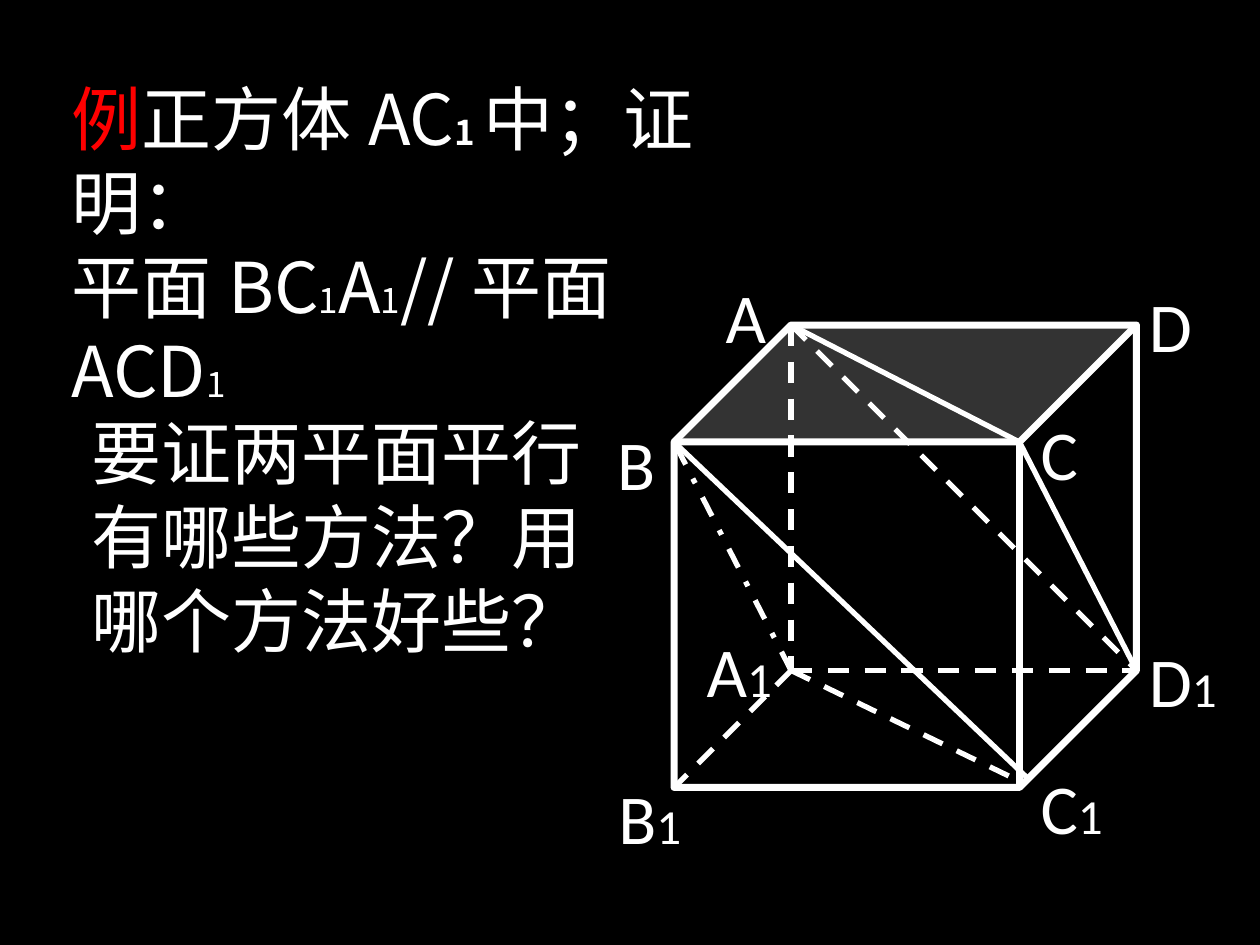
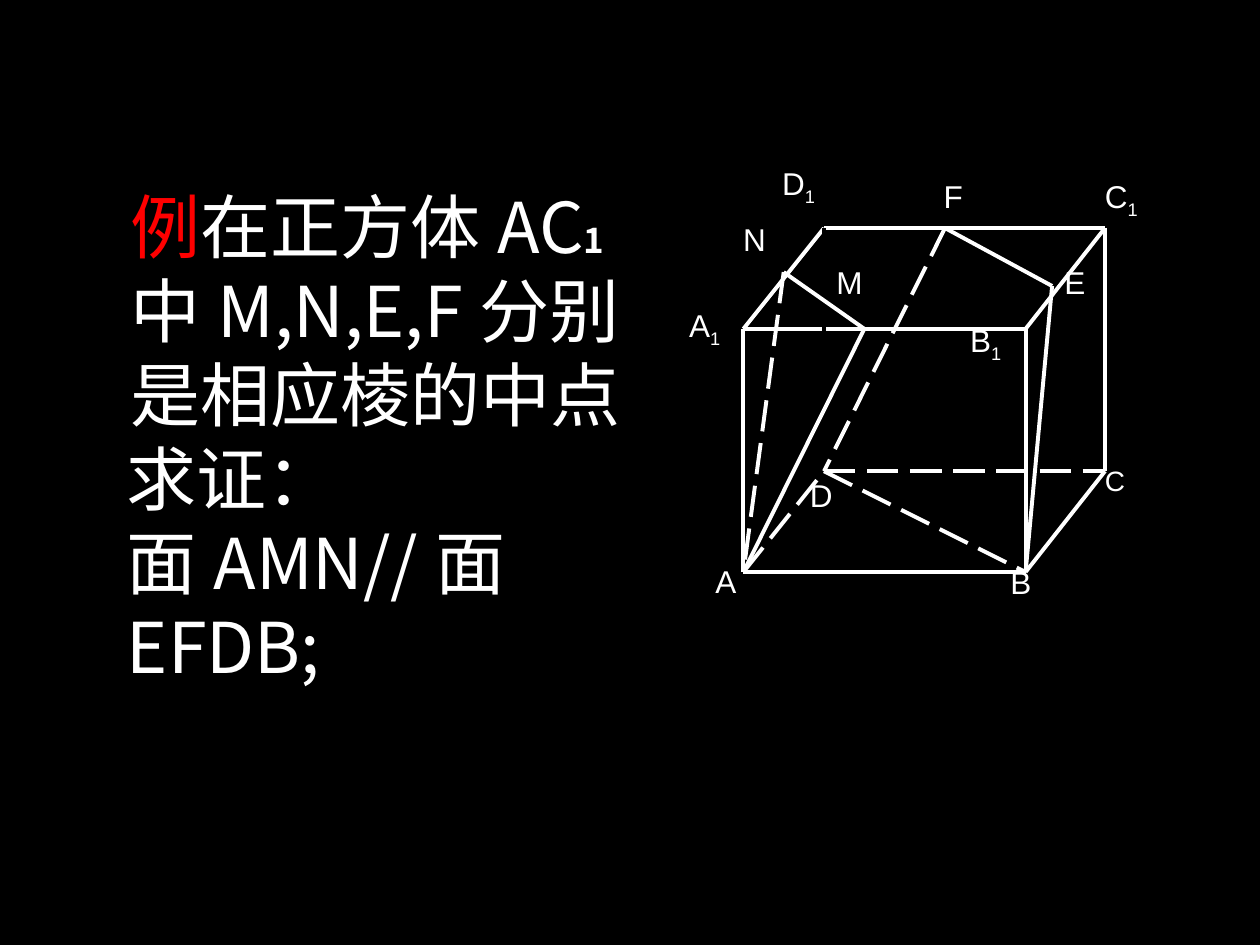
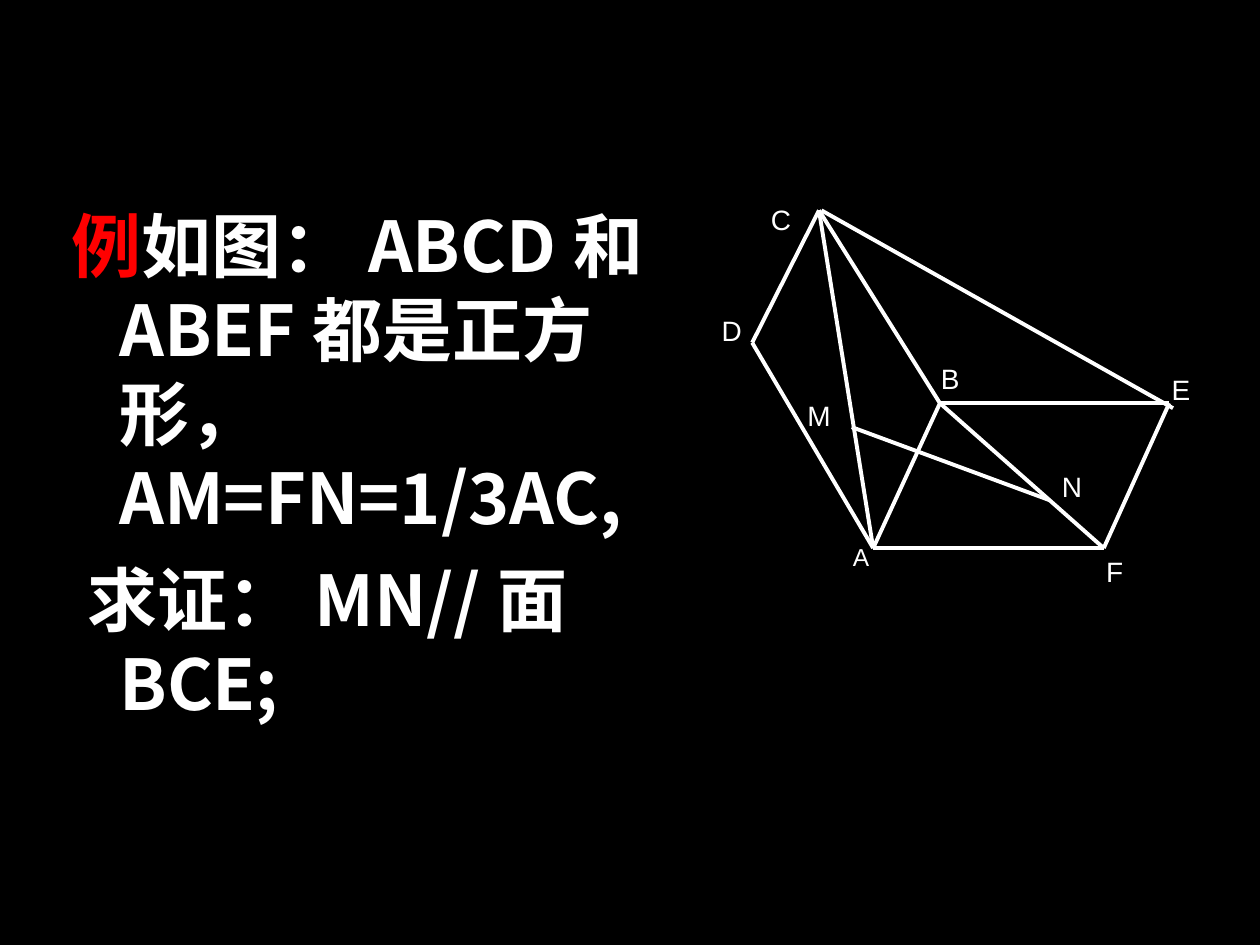
from pptx import Presentation
from pptx.dml.color import RGBColor
from pptx.enum.dml import MSO_LINE
from pptx.enum.shapes import MSO_CONNECTOR, MSO_SHAPE
from pptx.enum.text import MSO_ANCHOR
from pptx.oxml.ns import qn
from pptx.util import Inches, Pt
from lxml import etree

COLORS = {"back": "000000", "ink": "FFFFFF", "mark": "FF0000"}
SLIDE_W, SLIDE_H = Inches(10), Inches(7.5)
CELL = SLIDE_W / 10          # the grid has 10 columns and 7.5 rows
TEXT_FONT = "Noto Sans CJK SC"
LINE_RATIO = 1.2             # line height as a share of the text size

# Run styles of the problem text
STYLES = {
    "mark": {"size": Pt(40), "color": "mark"},
    "body": {"size": Pt(40), "color": "ink"},
    "sub": {"size": Pt(20), "color": "ink"},
    "boldsub": {"size": Pt(20), "color": "ink", "bold": True},
}


def grid(*cells):
    return [round(c * CELL) for c in cells]


def rgb(name):
    return RGBColor.from_string(COLORS[name])


def add_slide(prs):
    s = prs.slides.add_slide(prs.slide_layouts[6])
    s.background.fill.solid()
    s.background.fill.fore_color.rgb = rgb("back")
    return s


def add_run(p, text, font, size, color="ink", bold=False):
    r = p.add_run()
    r.text = text
    for name, value in {"name": font, "size": size, "bold": bold}.items():
        setattr(r.font, name, value)
    r.font.color.rgb = rgb(color)
    ea = etree.SubElement(r.font._element, qn("a:ea"))
    ea.set("typeface", font)
    return r


def add_box(shapes, box, wrap=True):
    tf = shapes.add_textbox(*grid(*box)).text_frame
    tf.word_wrap = wrap
    tf.vertical_anchor = MSO_ANCHOR.TOP
    return tf


def add_problem(s, box, paragraphs, bold=False, hang=0, indents=(), gap=0):
    """Problem text: each paragraph is a list of (style, text) runs."""
    tf = add_box(s.shapes, box)
    for i, runs in enumerate(paragraphs):
        p = tf.add_paragraph() if i else tf.paragraphs[0]
        if i and gap:
            p.space_before = Pt(gap)
        if hang:
            pPr = p._p.get_or_add_pPr()
            pPr.set("marL", str(Inches(hang)))
            pPr.set("indent", str(Inches(indents[i])))
        for style, text in runs:
            fmt = {"bold": bold, **STYLES[style]}
            add_run(p, text, TEXT_FONT, **fmt)


def add_edges(shapes, points, edges, width, dash=None, color="ink"):
    """Straight lines between named points, written as "A-B C-D"."""
    for edge in edges.split():
        a, b = edge.split("-")
        cxn = shapes.add_connector(MSO_CONNECTOR.STRAIGHT,
                                   *grid(*points[a], *points[b]))
        cxn.line.color.rgb = rgb(color)
        cxn.line.width = Pt(width)
        if dash:
            cxn.line.dash_style = dash
        etree.SubElement(cxn._element.spPr, qn("a:effectLst"))


def add_labels(shapes, labels, size, font, index_size=None):
    """Point names; a digit after the letter becomes its index."""
    for name, x, y, w in labels:
        h = size * LINE_RATIO / 72 + 0.1
        tf = add_box(shapes, (x, y, w, h), wrap=not index_size)
        p = tf.paragraphs[0]
        add_run(p, name[0], font, Pt(size))
        if name[1:]:
            r = add_run(p, name[1:], font, Pt(index_size or size))
            if not index_size:
                r.font._element.set("baseline", "-25000")


def parallel_planes(prs):
    s = add_slide(prs)
    fig = s.shapes.add_group_shape().shapes

    # Solid cube
    left, top, side, depth = 5.35, 2.58, 3.67, 0.253
    cube = fig.add_shape(MSO_SHAPE.CUBE, *grid(left, top, side, side))
    cube.adjustments[0] = depth
    cube.shadow.inherit = False
    cube.fill.solid()
    cube.fill.fore_color.rgb = rgb("back")
    cube.line.color.rgb = rgb("ink")
    cube.line.width = Pt(4)

    # Hidden edges and the two triangles
    d = side * depth
    right, base = left + side, top + side
    points = {
        "A": (left + d, top), "B": (left, top + d), "C": (right - d, top + d),
        "A1": (left + d, base - d), "B1": (left, base),
        "C1": (right - d, base - 0.05), "D1": (right, base - d),
        "K": (8.16, 6.18),   # B-C1 runs on to the slanted edge
    }
    add_edges(fig, points, "A-A1 A1-D1 A1-B1 A1-C1 A-D1", 3, MSO_LINE.DASH)
    add_edges(fig, points, "A1-B", 3, MSO_LINE.DASH_DOT)
    add_edges(fig, points, "B-K A-C C-D1", 3)
    add_labels(fig, [
        ("A", 5.66, 2.12, 0.52), ("B", 4.8, 3.29, 0.5),
        ("C", 8.16, 3.21, 0.49), ("D", 9.02, 2.19, 0.54),
        ("A1", 5.51, 4.93, 0.72), ("B1", 4.81, 6.1, 0.7),
        ("C1", 8.16, 6.02, 0.69), ("D1", 9.02, 5.01, 0.74),
    ], 40, "Calibri", index_size=28)

    add_problem(s, (0.47, 0.55, 5.62, 3.1), [
        [("mark", "例"), ("body", "正方体AC"), ("boldsub", "1"),
         ("body", "中；证明：")],
        [("body", "平面BC"), ("sub", "1"), ("body", "A"), ("sub", "1"),
         ("body", "//平面ACD"), ("sub", "1")],
    ])
    add_problem(s, (0.63, 3.2, 4.17, 2.1),
                [[("body", "要证两平面平行有哪些方法？用哪个方法好些？")]])


def midpoint_planes(prs):
    s = add_slide(prs)
    fig = s.shapes.add_group_shape().shapes
    points = {
        "A": (5.9, 4.54), "B": (8.14, 4.54), "C": (8.77, 3.74),
        "D": (6.54, 3.74), "A1": (5.9, 2.61), "B1": (8.14, 2.61),
        "C1": (8.77, 1.81), "D1": (6.54, 1.81), "M": (6.86, 2.61),
        "N": (6.22, 2.16), "E": (8.35, 2.27), "F": (7.5, 1.81),
    }
    add_edges(fig, points, "D1-A1 D1-C1 A1-B1 C1-B1 A1-A B1-B A-B C1-C B-C",
              2.25)
    add_edges(fig, points, "D1-D", 2.25, MSO_LINE.LONG_DASH, "back")
    add_edges(fig, points, "N-M F-E M-A E-B", 2.25)
    add_edges(fig, points, "A-D D-C F-D D-B N-A", 2.25, MSO_LINE.LONG_DASH)
    add_labels(fig, [
        ("A", 5.58, 4.41, 0.43), ("B", 7.92, 4.42, 0.85),
        ("D", 6.33, 3.73, 0.53), ("A1", 5.37, 2.38, 1.38),
        ("B1", 7.6, 2.5, 1.49), ("C1", 8.67, 1.36, 1.28),
        ("D1", 6.11, 1.25, 1.17), ("N", 5.8, 1.7, 0.74),
        ("M", 6.54, 2.04, 0.53), ("F", 7.39, 1.36, 0.43),
        ("E", 8.35, 2.04, 0.64),
    ], 18, "Arial")
    add_labels(fig, [("C", 8.67, 3.63, 0.53)], 16, "Arial")

    add_problem(s, (0.94, 1.41, 4.38, 2.1), [
        [("mark", "例"), ("body", "在正方体AC"), ("boldsub", "1"),
         ("body", "中M,N,E,F分别是相应棱的中点")],
    ])
    add_problem(s, (0.91, 3.41, 3.86, 2.1),
                [[("body", "求证：")], [("body", "面AMN//面EFDB;")]])


def line_and_plane(prs):
    s = add_slide(prs)
    add_problem(s, (0.47, 1.56, 4.84, 3.59), [
        [("mark", "例"),
         ("body", "如图：ABCD和ABEF都是正方形，AM=FN=1/3AC,")],
        [("body", "求证：MN//面BCE;")],
    ], bold=True, hang=0.38, indents=(-0.38, -0.25), gap=10)

    fig = s.shapes.add_group_shape().shapes
    points = {
        "A": (6.93, 4.35), "B": (7.46, 3.2), "C": (6.5, 1.67),
        "D": (5.97, 2.72), "E": (9.28, 3.2), "F": (8.76, 4.35),
        "M": (6.76, 3.39), "N": (8.33, 3.97),
        "P": (6.52, 1.67), "Q": (9.31, 3.24),   # ends of the long side C-E
    }
    add_edges(fig, points, "B-A B-E A-F E-F B-C A-D C-D B-F C-A M-N P-Q",
              2.25)
    add_labels(fig, [("A", 6.67, 4.25, 0.7)], 14, "Arial")
    add_labels(fig, [
        ("B", 7.37, 2.82, 0.26), ("C", 6.02, 1.56, 0.52),
        ("D", 5.63, 2.44, 0.44), ("E", 9.2, 2.91, 0.26),
        ("F", 8.68, 4.35, 0.35), ("M", 6.31, 3.11, 1.69),
        ("N", 8.33, 3.68, 0.35),
    ], 16, "Arial")


def main():
    prs = Presentation()
    prs.slide_width, prs.slide_height = SLIDE_W, SLIDE_H
    parallel_planes(prs)
    midpoint_planes(prs)
    line_and_plane(prs)
    prs.save("out.pptx")


if __name__ == "__main__":
    main()
